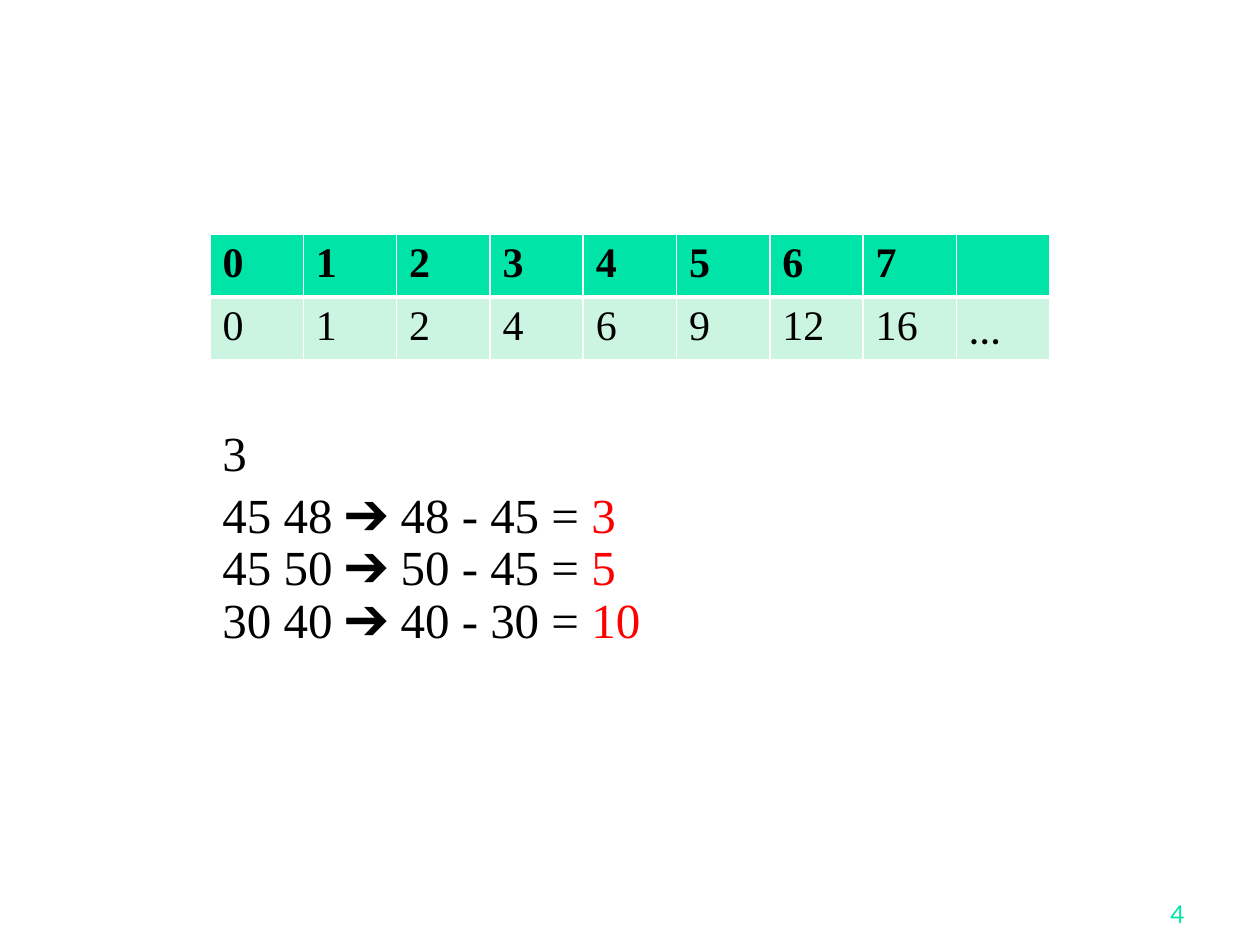
from dataclasses import dataclass

from lxml import etree
from pptx import Presentation
from pptx.dml.color import RGBColor
from pptx.enum.text import MSO_ANCHOR, PP_ALIGN
from pptx.oxml.ns import qn
from pptx.util import Emu, Pt

PX = 914400 // 126
TOP, BOTTOM = MSO_ANCHOR.TOP, MSO_ANCHOR.BOTTOM
LEFT, RIGHT = PP_ALIGN.LEFT, PP_ALIGN.RIGHT


@dataclass(frozen=True)
class Theme:
    """Colours, fonts and type sizes of the slide."""
    ink: str = "000000"
    white: str = "FFFFFF"
    accent: str = "00E4A8"
    pale: str = "CCF5E1"
    result: str = "FF0000"
    serif: str = "Times New Roman"
    sans: str = "Lato"
    body: int = 28
    cell: int = 24
    number: int = 14


def px(n):
    """Turn pixels into EMU."""
    return Emu(round(n * PX))


def add_text(p, text, *, size, color, font, bold=False):
    """Add one formatted run to a paragraph."""
    r = p.add_run()
    r.text = text
    r.font.size = Pt(size)
    r.font.name = font
    r.font.bold = bold
    r.font.color.rgb = RGBColor.from_string(color)


def set_borders(cell, color, **widths):
    """Draw cell borders; widths in points are keyed by L, R, T and B."""
    tc_pr = cell._tc.get_or_add_tcPr()
    for i, (side, width) in enumerate(widths.items()):
        ln = etree.Element(qn(f"a:ln{side}"), w=str(Pt(width)))
        fill = etree.SubElement(ln, qn("a:solidFill"))
        etree.SubElement(fill, qn("a:srgbClr"), val=color)
        tc_pr.insert(i, ln)


class Deck:
    """Holds the theme and the current slide."""

    def __init__(self, prs, theme):
        """Start a blank slide."""
        self.theme = theme
        self.s = prs.slides.add_slide(prs.slide_layouts[6])

    def text_box(self, x, y, w, h, *, anchor=TOP, top=6):
        """Add a wrapping text box and return its frame."""
        tf = self.s.shapes.add_textbox(px(x), px(y), px(w), px(h)).text_frame
        tf.word_wrap = True
        tf.vertical_anchor = anchor
        tf.margin_top = px(top)
        return tf

    def table(self, x, y, w, h, rows):
        """Add a table with a bold header row and equal columns."""
        t = self.theme
        table = self.s.shapes.add_table(
            len(rows), len(rows[0]), px(x), px(y), px(w), px(h)).table
        for col in table.columns:
            col.width = px(w / len(rows[0]))
        for i, values in enumerate(rows):
            header = i == 0
            table.rows[i].height = px(h / len(rows))
            for j, value in enumerate(values):
                cell = table.cell(i, j)
                cell.fill.solid()
                cell.fill.fore_color.rgb = RGBColor.from_string(
                    t.accent if header else t.pale)
                set_borders(cell, t.white, L=1, R=1,
                            T=3 if i == 1 else 1, B=3 if header else 1)
                if value:
                    add_text(cell.text_frame.paragraphs[0], value,
                             size=t.cell, color=t.ink, bold=header,
                             font=t.sans if value == "…" else t.serif)

    def examples(self, x, y, w, h, count, pairs, top):
        """Add the count of cases, then one subtraction a line."""
        t = self.theme
        style = dict(size=t.body, font=t.serif)
        tf = self.text_box(x, y, w, h, top=top)
        add_text(tf.paragraphs[0], count, color=t.ink, **style)
        p = tf.add_paragraph()
        p.line_spacing = 0.9
        p.space_before = Pt(t.body * 0.2)
        for i, (a, b) in enumerate(pairs):
            if i:
                p.add_line_break()
            add_text(p, f"{a} {b} ➔ {b} - {a} = ", color=t.ink, **style)
            add_text(p, str(b - a), color=t.result, **style)

    def page_number(self, x, y, w, h, number):
        """Add the page number at the bottom right."""
        t = self.theme
        p = self.text_box(x, y, w, h, anchor=BOTTOM).paragraphs[0]
        p.alignment = RIGHT
        add_text(p, number, size=t.number, color=t.accent, font=t.sans)


def main():
    """Build and save the slide."""
    prs = Presentation()
    prs.slide_width, prs.slide_height = px(1260), px(945)
    deck = Deck(prs, Theme())
    deck.examples(210, 204, 966, 640, "3",
                  [(45, 48), (45, 50), (30, 40)], top=218)
    deck.page_number(935, 872, 262, 63, "4")
    deck.table(210, 234, 840, 126, [
        [*"01234567", ""],
        ["0", "1", "2", "4", "6", "9", "12", "16", "…"],
    ])
    prs.save("out.pptx")


main()
